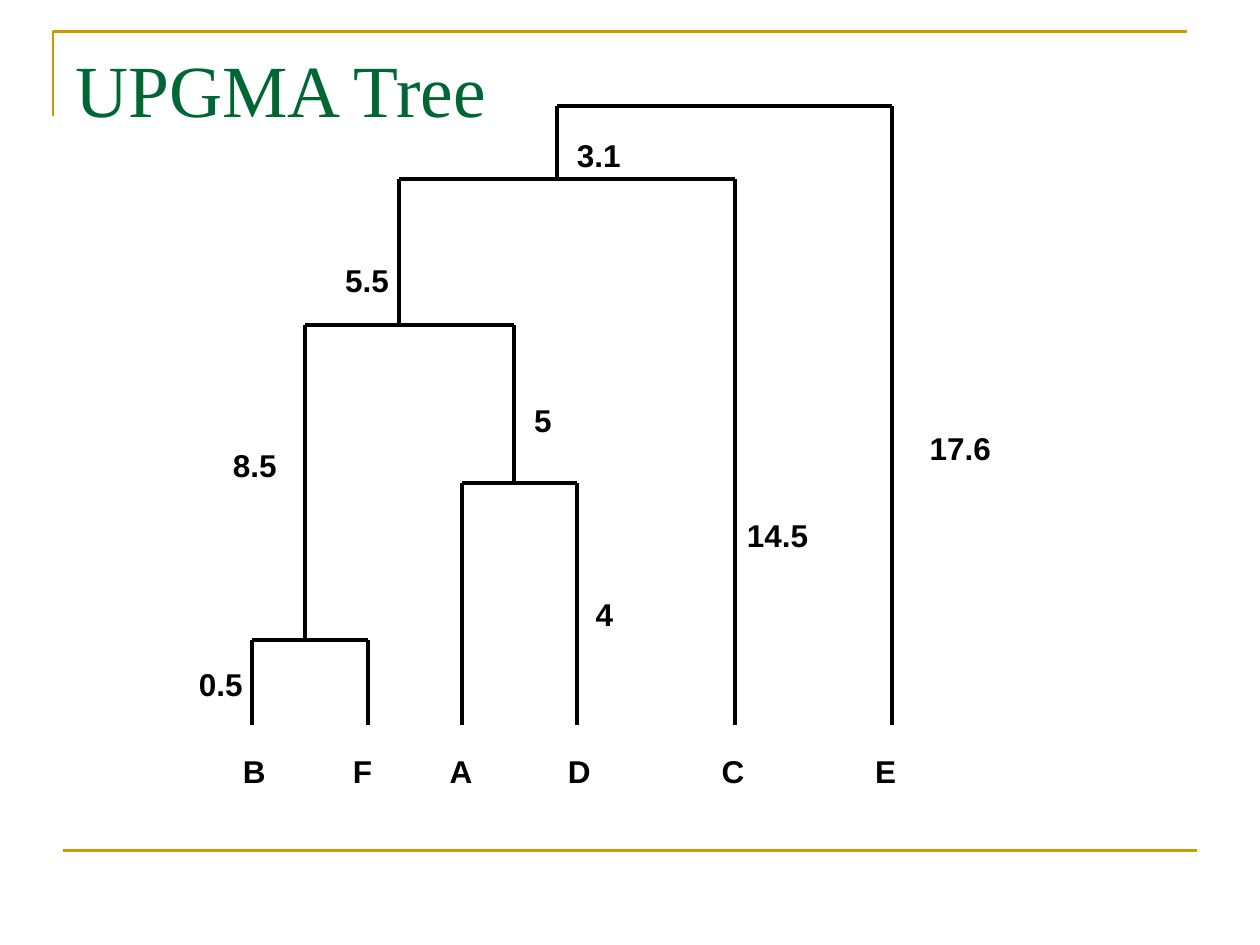
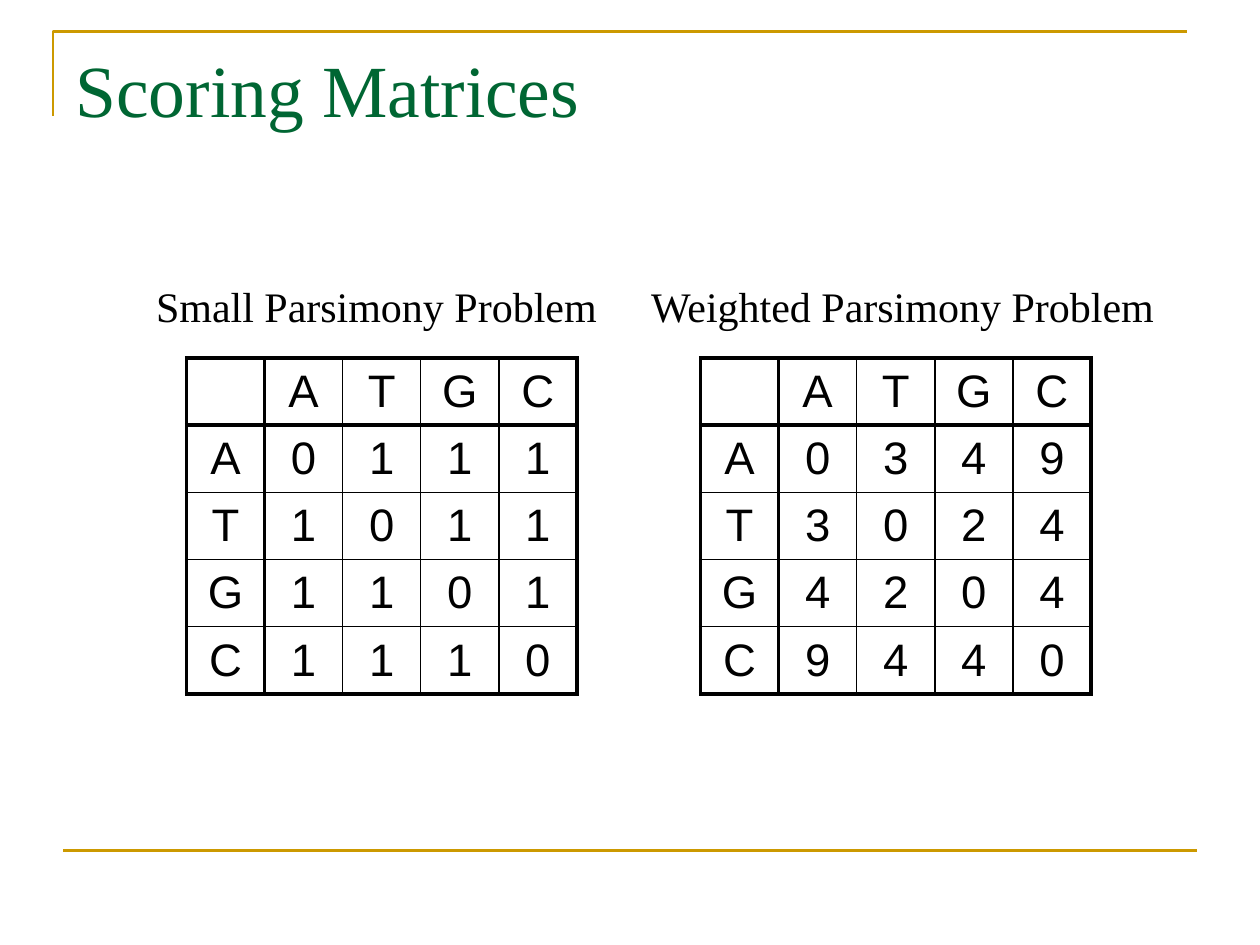
"""Build two slides: a UPGMA tree and two parsimony scoring matrices."""
from pptx import Presentation
from pptx import util as u
from pptx.dml.color import RGBColor
from pptx.enum import shapes, text
from pptx.oxml.ns import qn
from lxml import etree

GOLD = RGBColor(0xCC, 0x99, 0x00)
GREEN = RGBColor(0x00, 0x66, 0x33)
BLACK = RGBColor(0x00, 0x00, 0x00)

TITLE = {"name": "Times New Roman", "size": u.Pt(42), "color": GREEN}
CAPTION = {"name": "Times New Roman", "size": u.Pt(24), "color": BLACK}
LABEL = {"name": "Arial", "size": u.Pt(18), "bold": True, "color": BLACK}
CELL = {"name": "Arial", "size": u.Pt(26), "color": BLACK}

LEAF_Y = 5.75
THICK, THIN = 2.25, 1
COL_W, ROW_H = 0.62, 0.5
BASES = "ATGC"

CLADES = [
    (2, 2.92, 5.08, LEAF_Y, LEAF_Y),
    (3.67, 4.58, 3.83, LEAF_Y, LEAF_Y),
    (2.42, 4.08, 2.58, 5.08, 3.83),
    (3.17, 5.83, 1.42, 2.58, LEAF_Y),
    (4.42, 7.08, 0.84, 1.42, LEAF_Y),
]
BRANCH_LENGTHS = [
    ("0.5", 1.48, 5.23, 0.55),
    ("4", 4.63, 4.67, 0.34),
    ("5", 4.14, 3.13, 0.34),
    ("8.5", 1.75, 3.49, 0.55),
    ("14.5", 5.83, 4.05, 0.69),
    ("5.5", 2.64, 2.02, 0.55),
    ("17.6", 7.28, 3.36, 0.69),
    ("3.1", 4.48, 1.03, 0.55),
]
LEAVES = "BFADCE"
LEAF_TABS = [0.95, 1.73, 2.67, 3.89, 5.1]

MATRICES = [
    ("Small Parsimony Problem", 1.14, 3.75, 1.48, ["0111", "1011", "1101", "1110"]),
    ("Weighted Parsimony Problem", 5.07, 4.46, 5.56, ["0349", "3024", "4204", "9440"]),
]


def write(p, content, style):
    """Add a run to a paragraph and apply its font format."""
    r = p.add_run()
    r.text = content
    for name, value in style.items():
        if name == "color":
            r.font.color.rgb = value
        else:
            setattr(r.font, name, value)


def add_text(s, content, box, style, wrap=False):
    """Add a text box and return its paragraph."""
    tf = s.shapes.add_textbox(*map(u.Inches, box)).text_frame
    tf.word_wrap = wrap
    p = tf.paragraphs[0]
    write(p, content, style)
    return p


def add_line(s, x1, y1, x2, y2, color=BLACK, width=THICK):
    """Add a straight line without a shadow."""
    sp = s.shapes.add_connector(
        shapes.MSO_CONNECTOR.STRAIGHT, *map(u.Inches, (x1, y1, x2, y2)))
    sp.line.color.rgb = color
    sp.line.width = u.Pt(width)
    etree.SubElement(sp._element.spPr, qn("a:effectLst"))


def add_slide(prs, title):
    """Add a blank slide with the corner rule, bottom rule and title."""
    s = prs.slides.add_slide(prs.slide_layouts[6])
    corner = s.shapes.build_freeform(u.Inches(0.42), u.Inches(0.92))
    corner.add_line_segments(
        [(u.Inches(x), u.Inches(0.25)) for x in (0.42, 9.42)], close=False)
    sp = corner.convert_to_shape()
    sp.shadow.inherit = False
    sp.fill.background()
    sp.line.color.rgb = GOLD
    sp.line.width = u.Pt(1.5)
    add_line(s, 0.5, 6.75, 9.5, 6.75, GOLD, 1.5)
    add_text(s, title, (0.5, 0.3, 9, 1.25), TITLE, wrap=True)
    return s


def add_clade(s, left, right, top, left_end, right_end):
    """Join two branches by a bar at the top."""
    add_line(s, left, top, left, left_end)
    add_line(s, right, top, right, right_end)
    add_line(s, left, top, right, top)


def add_leaves(s):
    """Add the row of leaf names, centred on tab stops."""
    p = add_text(s, "\t".join(LEAVES), (1.83, 5.92, 5.44, 0.4), LABEL, wrap=True)
    tabs = etree.SubElement(p._p.get_or_add_pPr(), qn("a:tabLst"))
    for pos in LEAF_TABS:
        etree.SubElement(tabs, qn("a:tab"), pos=str(u.Inches(pos)), algn="ctr")


def set_borders(cell, row, col, last):
    """Draw thick borders round the table and its headers, thin ones elsewhere."""
    tcPr = cell._tc.get_or_add_tcPr()
    edges = {"L": col, "R": col + 1, "T": row, "B": row + 1}
    for side, edge in edges.items():
        width = THICK if edge in (0, 1, last) else THIN
        ln = etree.SubElement(tcPr, qn(f"a:ln{side}"), w=str(u.Pt(width)))
        fill = etree.SubElement(ln, qn("a:solidFill"))
        etree.SubElement(fill, qn("a:srgbClr"), val=str(BLACK))


def add_matrix(s, left, scores):
    """Add a scoring matrix with the bases as row and column headers."""
    rows = [" " + BASES] + [base + line for base, line in zip(BASES, scores)]
    n = len(rows)
    table = s.shapes.add_table(n, n, *map(
        u.Inches, (left, 2.84, n * COL_W, n * ROW_H))).table
    table.first_row = table.horz_banding = False
    for i, line in enumerate(rows):
        for j, value in enumerate(line):
            cell = table.cell(i, j)
            cell.vertical_anchor = text.MSO_ANCHOR.MIDDLE
            set_borders(cell, i, j, n)
            cell.fill.background()
            p = cell.text_frame.paragraphs[0]
            p.alignment = text.PP_ALIGN.CENTER
            if value.strip():
                write(p, value, CELL)


def add_tree_slide(prs):
    """Add the slide with the UPGMA tree."""
    s = add_slide(prs, "UPGMA Tree")
    for clade in CLADES:
        add_clade(s, *clade)
    add_leaves(s)
    for length, x, y, w in BRANCH_LENGTHS:
        add_text(s, length, (x, y, w, 0.4), LABEL)


def add_matrix_slide(prs):
    """Add the slide with the scoring matrices."""
    s = add_slide(prs, "Scoring Matrices")
    for caption, x, w, table_x, scores in MATRICES:
        add_matrix(s, table_x, scores)
        add_text(s, caption, (x, 2.18, w, 0.5), CAPTION)


def main():
    """Build and save the presentation."""
    prs = Presentation()
    prs.slide_width, prs.slide_height = u.Inches(10), u.Inches(7.5)
    add_tree_slide(prs)
    add_matrix_slide(prs)
    prs.save("out.pptx")


if __name__ == "__main__":
    main()
